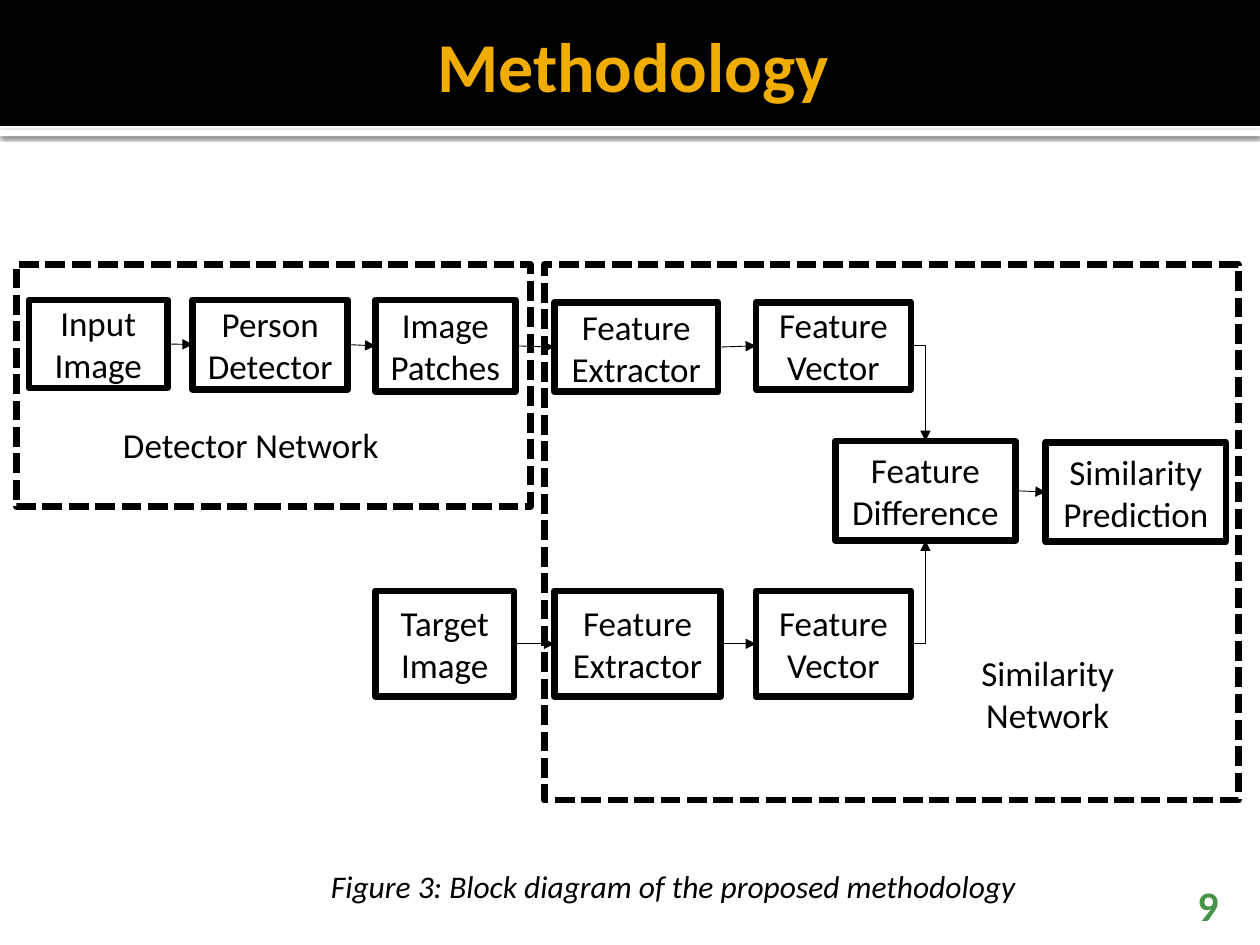
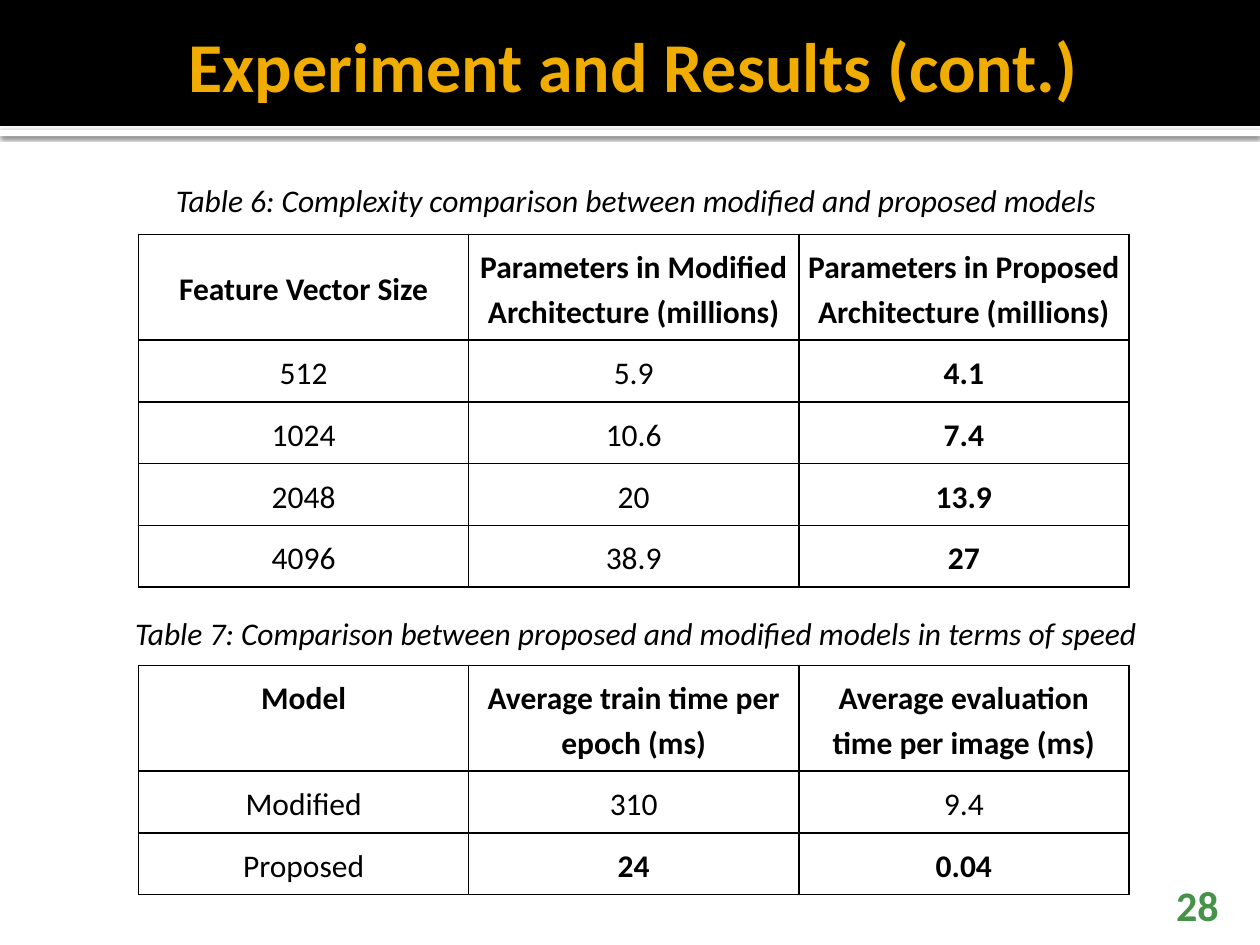
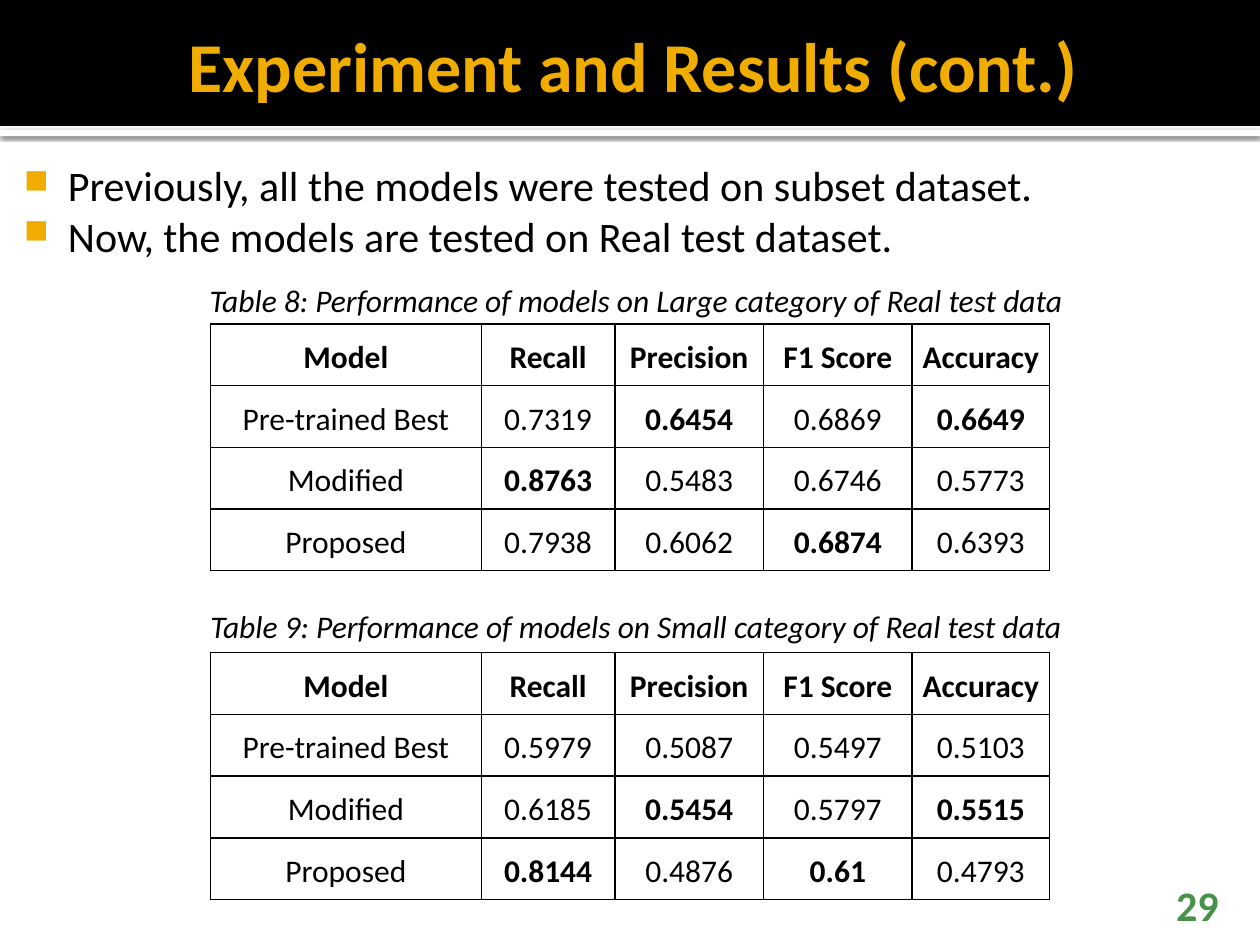
from lxml import etree
from pptx import Presentation
from pptx.dml.color import RGBColor
from pptx.enum.dml import MSO_LINE
from pptx.enum.shapes import MSO_CONNECTOR, MSO_SHAPE
from pptx.enum.text import MSO_ANCHOR, PP_ALIGN
from pptx.oxml.ns import qn
from pptx.util import Inches, Pt

CENTER, LEFT, RIGHT = PP_ALIGN.CENTER, PP_ALIGN.LEFT, PP_ALIGN.RIGHT
TOP, MIDDLE, BOTTOM = MSO_ANCHOR.TOP, MSO_ANCHOR.MIDDLE, MSO_ANCHOR.BOTTOM
STRAIGHT, ELBOW = MSO_CONNECTOR.STRAIGHT, MSO_CONNECTOR.ELBOW
RECTANGLE, DASHED = MSO_SHAPE.RECTANGLE, MSO_LINE.SQUARE_DOT
SITE_TOP, SITE_LEFT, SITE_BOTTOM, SITE_RIGHT = range(4)

FONT = "Calibri"
COLORS = {"ink": "000000", "paper": "FFFFFF", "accent": "F0AD00", "number": "479249"}
PAGE_WIDTH, PAGE_HEIGHT = 10, 7.5
FRAME_WEIGHT, ARROW_WEIGHT, GRID_WEIGHT = 3.78, 0.5, 1
ROW_HEIGHT, TALL_ROW_HEIGHT = 0.49, 0.84
CELL_MARGIN = 0.07


def color(name):
    return RGBColor.from_string(COLORS[name])


def add_element(parent, tag, **attributes):
    element = etree.SubElement(parent, qn(tag))
    for key, value in attributes.items():
        element.set(key, str(value))
    return element


class SlideBuilder:
    def __init__(self):
        self.deck = Presentation()
        self.deck.slide_width = Inches(PAGE_WIDTH)
        self.deck.slide_height = Inches(PAGE_HEIGHT)
        self.slide = None

    def page(self, title, number):
        self.slide = self.deck.slides.add_slide(self.deck.slide_layouts[6])
        stripe = self.rectangle(0, 1.03, PAGE_WIDTH, 0.05, "paper")
        effects = stripe._element.spPr.find(qn("a:effectLst"))
        shadow = add_element(effects, "a:outerShdw", blurRad=Pt(2.5), dist=Pt(0.8),
                             dir=90 * 60000, algn="tl", rotWithShape=0)
        shade = add_element(shadow, "a:srgbClr", val=COLORS["ink"])
        add_element(shade, "a:alpha", val=60000)
        self.rectangle(0, 0, PAGE_WIDTH, 1, "ink")
        self.text(0, 0.08, PAGE_WIDTH, 0.87, [title], 40, "accent", bold=True,
                  anchor=MIDDLE, margins=(0.1, 0.05, 0.05, 0.05))
        self.text(8.97, 7.08, 0.8, 0.3, [str(number)], 24, "number", bold=True,
                  align=RIGHT, anchor=BOTTOM, margins=(0.1, 0.05, 0.1, 0))

    def rectangle(self, left, top, width, height, fill, outlined=False, dashed=False):
        shape = self.slide.shapes.add_shape(
            RECTANGLE, Inches(left), Inches(top), Inches(width), Inches(height))
        shape.shadow.inherit = False
        shape.fill.solid()
        shape.fill.fore_color.rgb = color(fill)
        if outlined:
            shape.line.color.rgb = color("ink")
            shape.line.width = Pt(FRAME_WEIGHT)
            if dashed:
                shape.line.dash_style = DASHED
        else:
            shape.line.fill.background()
        return shape

    def add_span(self, para, text, size, name="ink", bold=False, italic=False, align=CENTER):
        para.alignment = align
        span = para.add_run()
        span.text = text
        font = span.font
        font.name, font.size, font.bold, font.italic = FONT, Pt(size), bold, italic
        font.color.rgb = color(name)

    def text(self, left, top, width, height, lines, size, name="ink", bold=False,
             italic=False, align=CENTER, anchor=TOP, margins=(0.1, 0.05, 0.1, 0.05),
             bullets=False):
        box = self.slide.shapes.add_textbox(
            Inches(left), Inches(top), Inches(width), Inches(height))
        frame = box.text_frame
        frame.word_wrap = True
        frame.vertical_anchor = anchor
        (frame.margin_left, frame.margin_top,
         frame.margin_right, frame.margin_bottom) = map(Inches, margins)
        for index, line in enumerate(lines):
            para = frame.add_paragraph() if index else frame.paragraphs[0]
            if bullets:
                self.bullet(para)
            self.add_span(para, line, size, name, bold, italic, align)

    def bullet(self, para):
        properties = para._p.get_or_add_pPr()
        properties.set("marL", str(Inches(0.48)))
        properties.set("indent", str(Inches(-0.35)))
        tint = add_element(properties, "a:buClr")
        add_element(tint, "a:srgbClr", val=COLORS["accent"])
        add_element(properties, "a:buSzPct", val=80000)
        add_element(properties, "a:buChar", char="■")

    def caption(self, top, text, left=0.1, width=9.9):
        self.text(left, top, width, 0.4, [text], 18, italic=True, anchor=MIDDLE)

    def block(self, left, top, width, height, label):
        shape = self.rectangle(left, top, width, height, "paper", outlined=True)
        shape.text_frame.word_wrap = True
        shape.text_frame.vertical_anchor = MIDDLE
        self.add_span(shape.text_frame.paragraphs[0], label, 20)
        return shape

    def arrow(self, start, end, end_site=SITE_LEFT):
        """Run from the right side of start to a side of end, with one bend if needed."""
        bent = end_site != SITE_LEFT
        arrow = self.slide.shapes.add_connector(ELBOW if bent else STRAIGHT, 0, 0, 0, 0)
        arrow.begin_connect(start, SITE_RIGHT)
        arrow.end_connect(end, end_site)
        arrow.line.color.rgb = color("ink")
        arrow.line.width = Pt(ARROW_WEIGHT)
        properties = arrow._element.spPr
        if bent:
            properties.find(qn("a:prstGeom")).set("prst", "bentConnector2")
        add_element(properties.find(qn("a:ln")), "a:tailEnd", type="triangle")
        add_element(properties, "a:effectLst")

    def table(self, left, top, widths, rows, bold_cells, header_height=ROW_HEIGHT,
              header_anchor=MIDDLE):
        """Draw a ruled table; the header is bold, and so are the (row, column) bold_cells."""
        heights = [header_height] + [ROW_HEIGHT] * (len(rows) - 1)
        table = self.slide.shapes.add_table(
            len(rows), len(widths), Inches(left), Inches(top),
            Inches(sum(widths)), Inches(sum(heights))).table
        table.first_row = table.horz_banding = False
        for column, width in zip(table.columns, widths):
            column.width = Inches(width)
        for r, values in enumerate(rows):
            table.rows[r].height = Inches(heights[r])
            for c, value in enumerate(values):
                cell = table.cell(r, c)
                cell.margin_left = cell.margin_right = Inches(CELL_MARGIN)
                cell.margin_top = cell.margin_bottom = Inches(CELL_MARGIN)
                cell.vertical_anchor = MIDDLE if r else header_anchor
                self.borders(cell)
                cell.fill.background()
                para = cell.text_frame.paragraphs[0]
                para.line_spacing = 1.15
                self.add_span(para, value, 18, bold=r == 0 or (r, c) in bold_cells)

    def borders(self, cell):
        properties = cell._tc.get_or_add_tcPr()
        for side in ("a:lnL", "a:lnR", "a:lnT", "a:lnB"):
            line = add_element(properties, side, w=Pt(GRID_WEIGHT))
            fill = add_element(line, "a:solidFill")
            add_element(fill, "a:srgbClr", val=COLORS["ink"])


def methodology(builder):
    builder.page("Methodology", 9)
    for area in ((4.32, 2.1, 5.51, 4.25), (0.13, 2.1, 4.08, 1.92)):
        builder.rectangle(*area, "paper", outlined=True, dashed=True)
    builder.caption(6.83, "Figure 3: Block diagram of the proposed methodology", 2.52, 5.65)

    detection = [
        builder.block(0.23, 2.38, 1.1, 0.7, "Input Image"),
        builder.block(1.53, 2.38, 1.23, 0.71, "Person Detector"),
        builder.block(2.98, 2.38, 1.11, 0.73, "Image Patches"),
        builder.block(4.4, 2.4, 1.3, 0.71, "Feature Extractor"),
        builder.block(6, 2.4, 1.23, 0.69, "Feature Vector"),
    ]
    target = [
        builder.block(2.98, 4.69, 1.1, 0.84, "Target Image"),
        builder.block(4.4, 4.69, 1.32, 0.84, "Feature Extractor"),
        builder.block(6, 4.69, 1.23, 0.84, "Feature Vector"),
    ]
    comparison = [
        builder.block(6.63, 3.5, 1.43, 0.79, "Feature Difference"),
        builder.block(8.3, 3.51, 1.43, 0.79, "Similarity Prediction"),
    ]
    for chain in (detection, target, comparison):
        for start, end in zip(chain, chain[1:]):
            builder.arrow(start, end)
    builder.arrow(detection[-1], comparison[0], SITE_TOP)
    builder.arrow(target[-1], comparison[0], SITE_BOTTOM)

    builder.text(0.75, 3.31, 2.48, 0.44, ["Detector Network"], 20)
    builder.text(7.54, 5.12, 1.55, 0.77, ["Similarity", "Network"], 20)


def complexity_and_speed(builder):
    builder.page("Experiment and Results (cont.)", 28)
    widths = [2.62] * 3
    builder.caption(1.39, "Table 6: Complexity comparison between modified and proposed models")
    builder.table(1.1, 1.86, widths, [
        ("Feature Vector Size", "Parameters in Modified Architecture (millions)",
         "Parameters in Proposed Architecture (millions)"),
        ("512", "5.9", "4.1"),
        ("1024", "10.6", "7.4"),
        ("2048", "20", "13.9"),
        ("4096", "38.9", "27"),
    ], {(row, 2) for row in range(1, 5)}, TALL_ROW_HEIGHT)
    builder.caption(
        4.82, "Table 7: Comparison between proposed and modified models in terms of speed")
    builder.table(1.1, 5.28, widths, [
        ("Model", "Average train time per epoch (ms)",
         "Average evaluation time per image (ms)"),
        ("Modified", "310", "9.4"),
        ("Proposed", "24", "0.04"),
    ], {(2, 1), (2, 2)}, TALL_ROW_HEIGHT, TOP)


def real_test_performance(builder):
    builder.page("Experiment and Results (cont.)", 29)
    builder.text(0, 1.17, PAGE_WIDTH, 1, [
        "Previously, all the models were tested on subset dataset.",
        "Now, the models are tested on Real test dataset.",
    ], 24, align=LEFT, margins=(0.06, 0.1, 0.1, 0.05), bullets=True)
    widths = [2.15, 1.06, 1.18, 1.18, 1.09]
    header = ("Model", "Recall", "Precision", "F1 Score", "Accuracy")
    builder.caption(2.18, "Table 8: Performance of models on Large category of Real test data")
    builder.table(1.67, 2.57, widths, [
        header,
        ("Pre-trained Best", "0.7319", "0.6454", "0.6869", "0.6649"),
        ("Modified", "0.8763", "0.5483", "0.6746", "0.5773"),
        ("Proposed", "0.7938", "0.6062", "0.6874", "0.6393"),
    ], {(1, 2), (1, 4), (2, 1), (3, 3)})
    builder.caption(4.77, "Table 9: Performance of models on Small category of Real test data")
    builder.table(1.67, 5.18, widths, [
        header,
        ("Pre-trained Best", "0.5979", "0.5087", "0.5497", "0.5103"),
        ("Modified", "0.6185", "0.5454", "0.5797", "0.5515"),
        ("Proposed", "0.8144", "0.4876", "0.61", "0.4793"),
    ], {(2, 2), (2, 4), (3, 1), (3, 3)})


def main():
    builder = SlideBuilder()
    methodology(builder)
    complexity_and_speed(builder)
    real_test_performance(builder)
    builder.deck.save("out.pptx")


if __name__ == "__main__":
    main()
